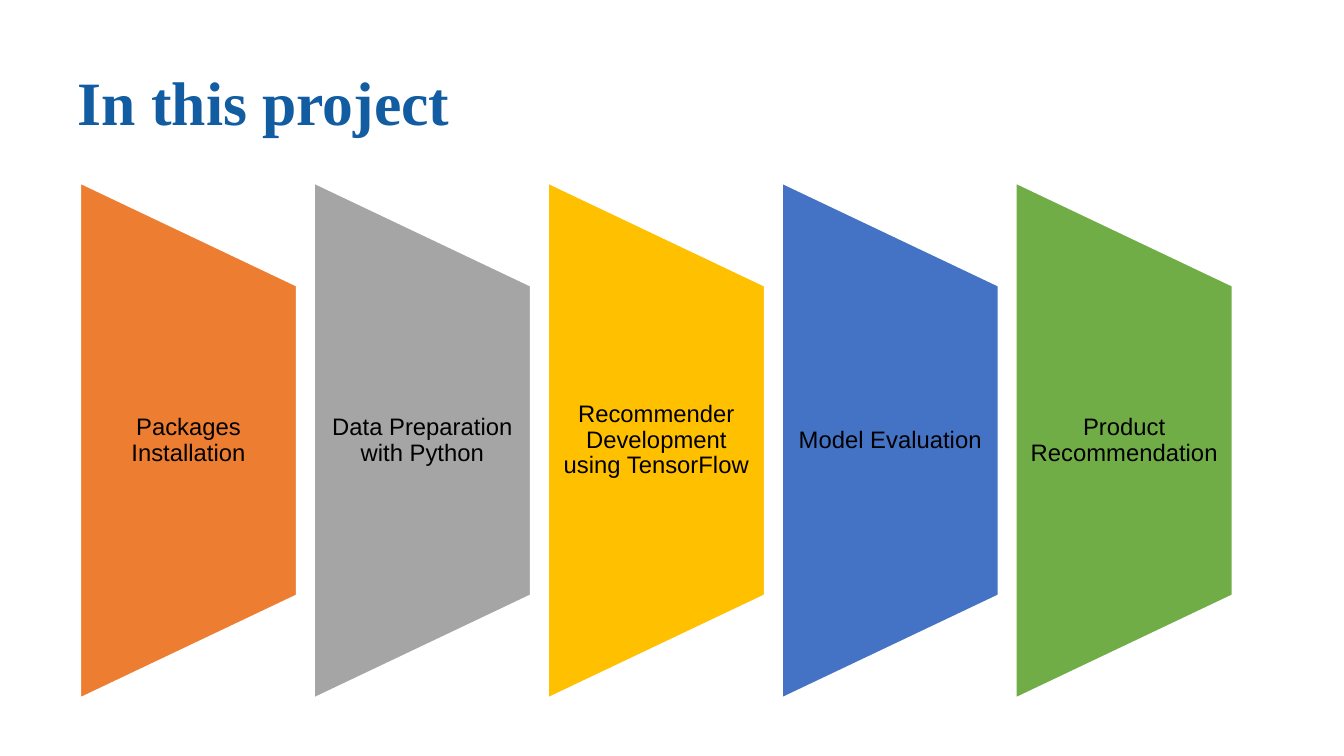
from dataclasses import dataclass

from pptx import Presentation
from pptx.dml.color import RGBColor
from pptx.enum.shapes import MSO_SHAPE
from pptx.enum.text import MSO_ANCHOR, MSO_AUTO_SIZE, PP_ALIGN
from pptx.util import Inches, Pt

TRAPEZOID = MSO_SHAPE.FLOWCHART_MANUAL_OPERATION
MIDDLE = MSO_ANCHOR.MIDDLE
NO_AUTOFIT = MSO_AUTO_SIZE.NONE
LEFT = PP_ALIGN.LEFT
CENTER = PP_ALIGN.CENTER


@dataclass(frozen=True)
class Theme:
    title_font: str = "Times New Roman"
    title_size: int = 44
    title_color: str = "125DA2"
    step_font: str = "Arial"
    step_size: int = 17
    step_color: str = "000000"
    outline_color: str = "FFFFFF"
    outline_width: int = 2
    line_spacing: float = 0.9


THEME = Theme()
TITLE = "In this project"
STEPS = [
    ("Packages Installation", "ED7D31"),
    ("Data Preparation with Python", "A5A5A5"),
    ("Recommender Development using TensorFlow", "FFC000"),
    ("Model Evaluation", "4472C4"),
    ("Product Recommendation", "70AD47"),
]

STEP_LEFT = 0.79
STEP_PITCH = 2.32
STEP_WIDTH = 2.16
STEP_HEIGHT = 5.13
STEP_MIDDLE = 4.37
LABEL_HEIGHT = 3.08


def write_text(shape, text, font, size, color, alignment, margins, bold=False):
    frame = shape.text_frame
    frame.word_wrap = True
    frame.auto_size = NO_AUTOFIT
    frame.vertical_anchor = MIDDLE
    frame.margin_left = frame.margin_right = Inches(margins[0])
    frame.margin_top = frame.margin_bottom = Inches(margins[1])
    paragraph = frame.paragraphs[0]
    paragraph.alignment = alignment
    paragraph.line_spacing = THEME.line_spacing
    run = paragraph.add_run()
    run.text = text
    run.font.name = font
    run.font.size = Pt(size)
    run.font.bold = bold
    run.font.color.rgb = RGBColor.from_string(color)


def add_step(slide, index, label, color):
    left = STEP_LEFT + index * STEP_PITCH
    center = left + STEP_WIDTH / 2
    trapezoid = slide.shapes.add_shape(
        TRAPEZOID,
        Inches(center - STEP_HEIGHT / 2),
        Inches(STEP_MIDDLE - STEP_WIDTH / 2),
        Inches(STEP_HEIGHT),
        Inches(STEP_WIDTH),
    )
    trapezoid.rotation = 270
    trapezoid.shadow.inherit = False
    trapezoid.fill.solid()
    trapezoid.fill.fore_color.rgb = RGBColor.from_string(color)
    trapezoid.line.color.rgb = RGBColor.from_string(THEME.outline_color)
    trapezoid.line.width = Pt(THEME.outline_width)

    label_box = slide.shapes.add_textbox(
        Inches(left),
        Inches(STEP_MIDDLE - LABEL_HEIGHT / 2),
        Inches(STEP_WIDTH),
        Inches(LABEL_HEIGHT),
    )
    write_text(label_box, label, THEME.step_font, THEME.step_size,
               THEME.step_color, CENTER, (0.12, 0))


presentation = Presentation()
presentation.slide_width = Inches(13.33)
presentation.slide_height = Inches(7.5)
slide = presentation.slides.add_slide(presentation.slide_layouts.get_by_name("Title Only"))

title = slide.shapes.title
title.left, title.top = Inches(0.67), Inches(0.28)
title.width, title.height = Inches(12), Inches(1.53)
write_text(title, TITLE, THEME.title_font, THEME.title_size,
           THEME.title_color, LEFT, (0.1, 0.05), bold=True)

for index, (label, color) in enumerate(STEPS):
    add_step(slide, index, label, color)

presentation.save("out.pptx")
